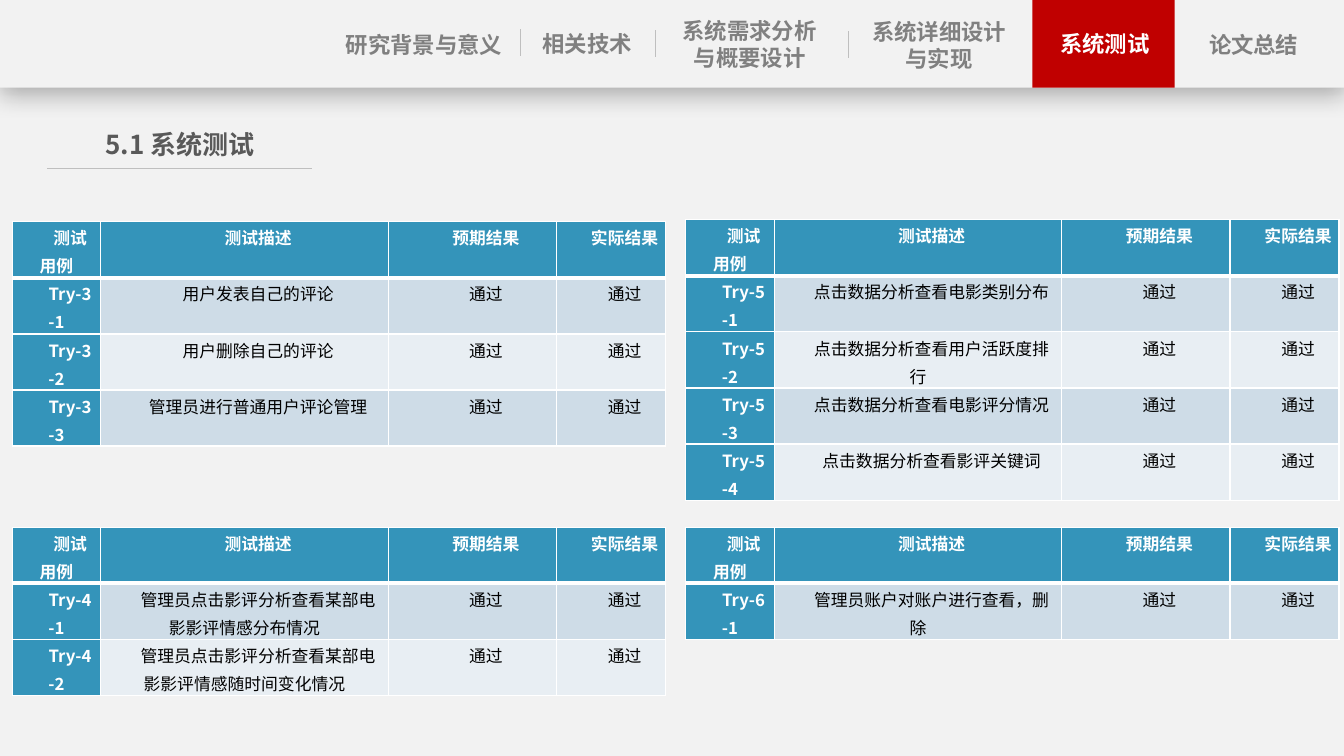
from lxml import etree
from pptx import Presentation
from pptx import util as u
from pptx.dml.color import RGBColor
from pptx.enum import shapes, text
from pptx.oxml.ns import qn

# Content
TITLE = ("5.1 系统测试", 0.75, 1.21, 2.07, 0.42)
NAV = [  # text, left, top, width, height
    ("研究背景与意义", 3.37, 0.25, 1.67, 0.38),
    ("相关技术", 5.09, 0.24, 1.47, 0.38),
    ("系统需求分析与概要设计", 6.7, 0.12, 1.47, 0.64),
    ("系统详细设计与实现", 8.58, 0.13, 1.47, 0.64),
    ("系统测试", 10.34, 0.24, 1.24, 0.38),
    ("论文总结", 11.7, 0.25, 1.47, 0.38),
]
ACTIVE = "系统测试"
DIVIDERS = [(5.16, 0.29), (6.5, 0.3), (8.41, 0.31)]
HEADER = ["测试用例", "测试描述", "预期结果", "实际结果"]
PASS = "通过"
TABLES = [  # case group, left, top, descriptions
    (3, 0.12, 2.2, ["用户发表自己的评论", "用户删除自己的评论", "管理员进行普通用户评论管理"]),
    (5, 6.8, 2.18, ["点击数据分析查看电影类别分布", "点击数据分析查看用户活跃度排行",
                    "点击数据分析查看电影评分情况", "点击数据分析查看影评关键词"]),
    (4, 0.12, 5.23, ["管理员点击影评分析查看某部电影影评情感分布情况",
                     "管理员点击影评分析查看某部电影影评情感随时间变化情况"]),
    (6, 6.8, 5.23, ["管理员账户对账户进行查看，删除"]),
]
COLS = [0.88, 2.85, 1.67, 1.08]
ROW_H = 0.55
FONT = "Noto Sans CJK SC"
C = {"page": "F2F2F2", "rule": "BFBFBF", "active": "C00000", "nav": "808080",
     "title": "595959", "head": "3494BA", "odd": "CEDCE7", "even": "E8EEF3",
     "white": "FFFFFF", "black": "000000"}


def rgb(name):
    return RGBColor.from_string(C[name])


def style(p, size, color, bold, spacing):
    p.alignment = text.PP_ALIGN.CENTER
    p.line_spacing = u.Pt(spacing)
    f = p.font
    f.size, f.bold, f.name = u.Pt(size), bold, FONT
    f.color.rgb = rgb(color)
    latin = p._p.pPr.find(qn("a:defRPr")).find(qn("a:latin"))
    ea = etree.Element(qn("a:ea"), typeface=FONT)
    latin.addnext(ea)


def label(words, x, y, w, h, size, color, spacing):
    tf = s.shapes.add_textbox(*map(u.Inches, (x, y, w, h))).text_frame
    tf.word_wrap = True
    tf.margin_left = tf.margin_right = 0
    tf.vertical_anchor = text.MSO_ANCHOR.MIDDLE
    tf.text = words
    style(tf.paragraphs[0], size, color, True, spacing)


def block(x, y, w, h, color):
    sp = s.shapes.add_shape(shapes.MSO_SHAPE.RECTANGLE, *map(u.Inches, (x, y, w, h)))
    sp.shadow.inherit = False
    sp.fill.solid()
    sp.fill.fore_color.rgb = rgb(color)
    sp.line.fill.background()
    return sp


def rule(x1, y1, x2, y2):
    cn = s.shapes.add_connector(shapes.MSO_CONNECTOR.STRAIGHT, *map(u.Inches, (x1, y1, x2, y2)))
    cn.line.color.rgb = rgb("rule")
    cn.line.width = u.Pt(0.5)
    etree.SubElement(cn._element.spPr, qn("a:effectLst"))


def borders(cell, top, bottom):
    tcPr = cell._tc.get_or_add_tcPr()
    for i, (side, pt) in enumerate([("L", 1), ("R", 1), ("T", top), ("B", bottom)]):
        ln = etree.Element(qn("a:ln" + side), w=str(u.Pt(pt)))
        fill = etree.SubElement(ln, qn("a:solidFill"))
        etree.SubElement(fill, qn("a:srgbClr"), val=C["white"])
        tcPr.insert(i, ln)


def case_table(group, x, y, descriptions):
    rows = [HEADER] + [[f"Try-{group}-{i}", d, PASS, PASS]
                       for i, d in enumerate(descriptions, 1)]
    tbl = s.shapes.add_table(len(rows), len(COLS), u.Inches(x), u.Inches(y),
                             u.Inches(sum(COLS)), u.Inches(ROW_H * len(rows))).table
    tbl.first_row = tbl.horz_banding = False
    for col, w in zip(tbl.columns, COLS):
        col.width = u.Inches(w)
    for r, row in enumerate(rows):
        tbl.rows[r].height = u.Inches(ROW_H)
        for c, words in enumerate(row):
            cell = tbl.cell(r, c)
            head = r == 0 or c == 0
            cell.text = words
            cell.margin_left = cell.margin_right = u.Inches(0.07)
            cell.margin_top = cell.margin_bottom = 0
            p = cell.text_frame.paragraphs[0]
            style(p, 12, "white" if head else "black", head, 20)
            p._p.pPr.set("indent", str(u.Inches(0.27)))
            cell.fill.solid()
            cell.fill.fore_color.rgb = rgb("head" if head else "odd" if r % 2 else "even")
            borders(cell, 3 if r == 1 else 1, 3 if r == 0 else 1)


prs = Presentation()
prs.slide_width, prs.slide_height = u.Inches(13.33), u.Inches(7.5)
s = prs.slides.add_slide(prs.slide_layouts[6])
s.background.fill.solid()
s.background.fill.fore_color.rgb = rgb("page")

# Section title
rule(0.47, 1.67, 3.09, 1.67)
label(*TITLE, 18.6, "title", 23)

# Navigation bar with its soft shadow
bar = block(0, 0, 13.33, 0.87, "page")
shadow = etree.SubElement(bar._element.spPr.find(qn("a:effectLst")), qn("a:outerShdw"),
                          blurRad=str(u.Pt(18)), dist=str(u.Pt(4)), dir="5400000",
                          algn="t", rotWithShape="0")
tint = etree.SubElement(shadow, qn("a:srgbClr"), val=C["black"])
etree.SubElement(tint, qn("a:alpha"), val="29000")
block(10.24, 0, 1.41, 0.87, "active")
for x, y in DIVIDERS:
    rule(x, y, x, y + 0.27)
for words, *box in NAV:
    label(words, *box, 16, "white" if words == ACTIVE else "nav", 19)

# Test case tables
for spec_row in TABLES:
    case_table(*spec_row)

prs.save("out.pptx")
